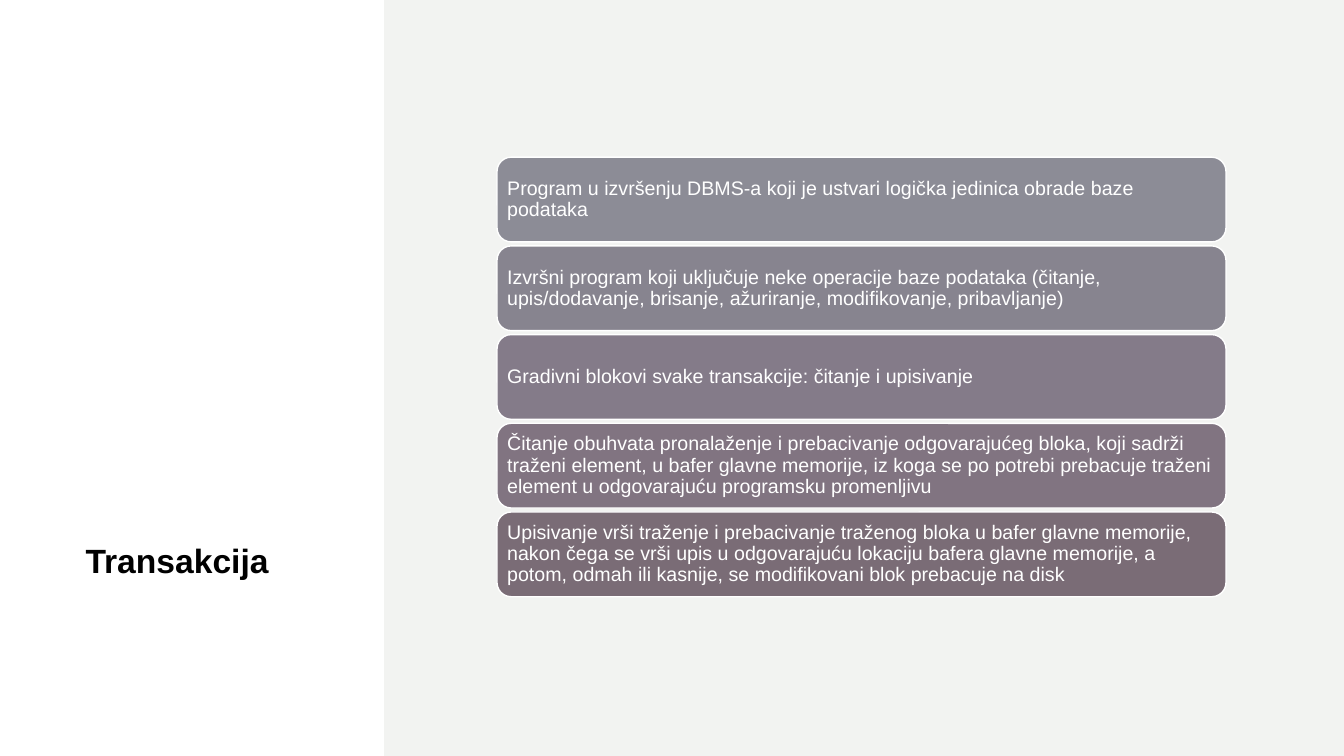
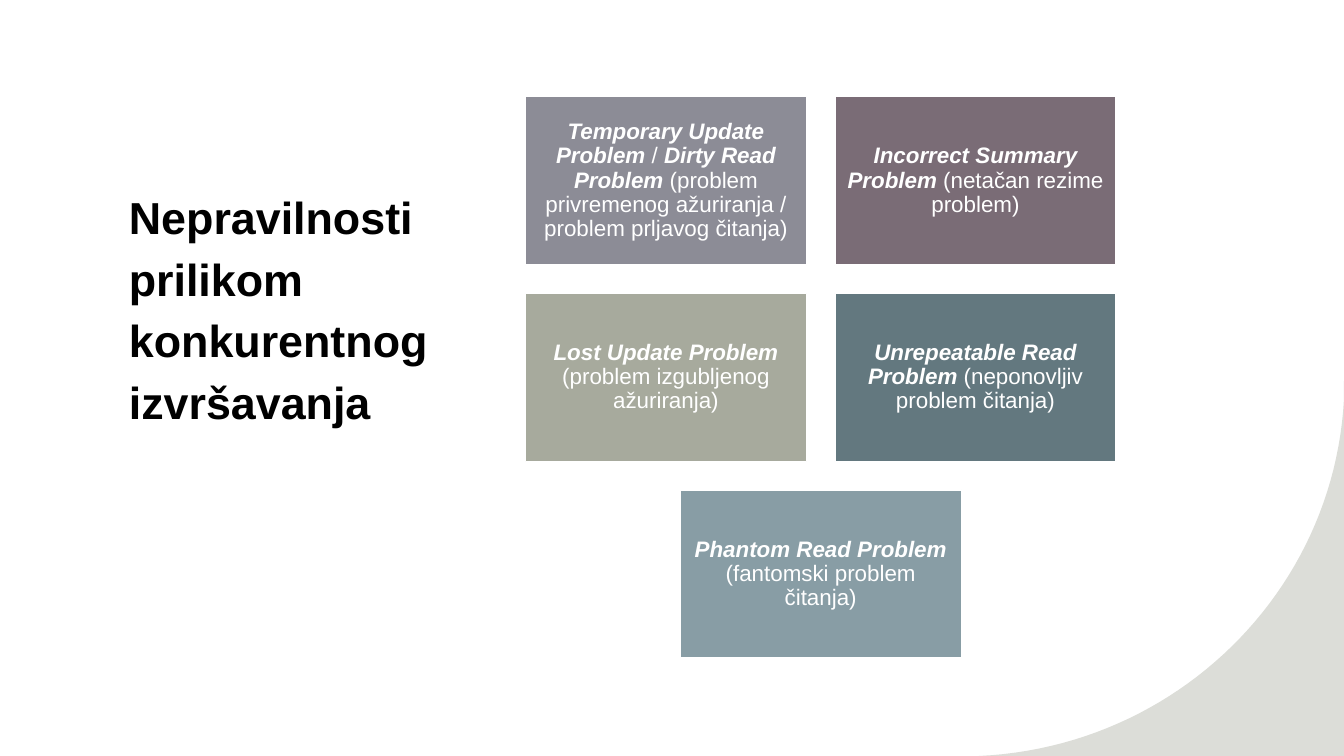
from pptx import Presentation
from pptx.dml.color import RGBColor
from pptx.enum.shapes import MSO_SHAPE as SHAPE
from pptx.enum.text import MSO_ANCHOR as ANCHOR, PP_ALIGN as ALIGN
from pptx.util import Inches, Pt

SLIDE_W, SLIDE_H = 13.33, 7.5
FONT = "Arial"
BLACK, WHITE = "000000", "FFFFFF"
PANEL, CORNER = "F2F3F1", "DCDDD8"
LAVENDER, PLUM, SAGE, TEAL, BLUE = "8C8C96", "7A6C76", "A7AA9D", "63787F", "889DA5"

STATEMENTS = [
    (LAVENDER, "Program u izvršenju DBMS-a koji je ustvari logička jedinica obrade "
               "baze podataka"),
    ("87848F", "Izvršni program koji uključuje neke operacije baze podataka (čitanje, "
               "upis/dodavanje, brisanje, ažuriranje, modifikovanje, pribavljanje)"),
    ("847B89", "Gradivni blokovi svake transakcije: čitanje i upisivanje"),
    ("817481", "Čitanje obuhvata pronalaženje i prebacivanje odgovarajućeg bloka, koji "
               "sadrži traženi element, u bafer glavne memorije, iz koga se po potrebi "
               "prebacuje traženi element u odgovarajuću programsku promenljivu"),
    (PLUM, "Upisivanje vrši traženje i prebacivanje traženog bloka u bafer glavne "
           "memorije, nakon čega se vrši upis u odgovarajuću lokaciju bafera glavne "
           "memorije, a potom, odmah ili kasnije, se modifikovani blok prebacuje na disk"),
]

# Rows of cards; the runs of a card alternate between emphasised and plain.
PROBLEM_ROWS = [
    [(LAVENDER, ["Temporary Update Problem", " / ", "Dirty Read Problem",
                 " (problem privremenog ažuriranja / problem prljavog čitanja)"]),
     (PLUM, ["Incorrect Summary Problem ", "(netačan rezime problem)"])],
    [(SAGE, ["Lost Update Problem ", "(problem izgubljenog ažuriranja)"]),
     (TEAL, ["Unrepeatable Read Problem ", "(neponovljiv problem čitanja)"])],
    [(BLUE, ["Phantom Read Problem ", "(fantomski problem čitanja)"])],
]


def rgb(color):
    return RGBColor.from_string(color)


def add_slide(prs):
    s = prs.slides.add_slide(prs.slide_layouts[6])
    s.background.fill.solid()
    s.background.fill.fore_color.rgb = rgb(WHITE)
    return s


def paint(sp, fill, line=None):
    sp.shadow.inherit = False
    sp.fill.solid()
    sp.fill.fore_color.rgb = rgb(fill)
    if line:
        sp.line.color.rgb = rgb(line)
        sp.line.width = Pt(1)
    else:
        sp.line.fill.background()


def add_block(s, kind, x, y, w, h, fill, line=None):
    sp = s.shapes.add_shape(kind, Inches(x), Inches(y), Inches(w), Inches(h))
    paint(sp, fill, line)
    return sp


def set_text(sp, runs, size, color, spacing, align=ALIGN.LEFT, anchor=ANCHOR.MIDDLE):
    """Write one paragraph from (text, bold, italic) runs."""
    tf = sp.text_frame
    tf.word_wrap = True
    tf.vertical_anchor = anchor
    p = tf.paragraphs[0]
    p.alignment = align
    p.line_spacing = spacing
    for text, bold, italic in runs:
        r = p.add_run()
        r.text = text
        r.font.name = FONT
        r.font.size = Pt(size)
        r.font.color.rgb = rgb(color)
        r.font.bold = bold
        r.font.italic = italic


def set_margins(sp, inset):
    tf = sp.text_frame
    tf.margin_left = tf.margin_right = tf.margin_top = tf.margin_bottom = Inches(inset)


def add_title(s, text, x, y, w, h, size, anchor):
    sp = s.shapes.add_textbox(Inches(x), Inches(y), Inches(w), Inches(h))
    set_text(sp, [(text, True, False)], size, BLACK, 1.15, anchor=anchor)


def bezier(a, b, c, d, steps=48):
    """Points on a cubic curve from a to d."""
    for i in range(steps + 1):
        t = i / steps
        u = 1 - t
        yield tuple(u**3 * p0 + 3 * u * u * t * p1 + 3 * u * t * t * p2 + t**3 * p3
                    for p0, p1, p2, p3 in zip(a, b, c, d))


def add_corner(s):
    """Fill the lower right corner outside a concave curve."""
    curve = bezier((9.71, SLIDE_H), (11.67, 7.41), (13.23, 5.87), (SLIDE_W, 3.96))
    points = [(SLIDE_W, SLIDE_H), (9.63, SLIDE_H), *curve]
    builder = s.shapes.build_freeform(Inches(SLIDE_W), Inches(3.78), scale=1.0)
    builder.add_line_segments([(Inches(x), Inches(y)) for x, y in points], close=True)
    paint(builder.convert_to_shape(), CORNER)


def add_statements(s):
    top, height, pitch = 1.56, 0.84, 0.88
    for i, (fill, text) in enumerate(STATEMENTS):
        sp = add_block(s, SHAPE.ROUNDED_RECTANGLE, 4.93, top + i * pitch, 7.23, height,
                       fill, WHITE)
        set_margins(sp, 0.06)
        set_text(sp, [(text, False, False)], 14, WHITE, 0.9)


def add_problem_cards(s):
    center, top, width, height, gap = 8.14, 0.96, 2.79, 1.67, 0.28
    for i, row in enumerate(PROBLEM_ROWS):
        left = center - (len(row) * (width + gap) - gap) / 2
        for j, (fill, texts) in enumerate(row):
            sp = add_block(s, SHAPE.RECTANGLE, left + j * (width + gap),
                           top + i * (height + gap), width, height, fill, WHITE)
            set_margins(sp, 0.07)
            runs = [(text, k % 2 == 0, k % 2 == 0) for k, text in enumerate(texts)]
            set_text(sp, runs, 16, WHITE, 0.9, ALIGN.CENTER)


def build_transaction(prs):
    s = add_slide(prs)
    add_title(s, "Transakcija", 0.75, 2.3, 2.54, 3.51, 24, ANCHOR.BOTTOM)
    add_block(s, SHAPE.RECTANGLE, 3.81, 0, SLIDE_W - 3.81, SLIDE_H, PANEL)
    add_statements(s)


def build_problems(prs):
    s = add_slide(prs)
    add_title(s, "Nepravilnosti prilikom konkurentnog izvršavanja",
              1.18, 1.75, 3.28, 3.89, 32, ANCHOR.TOP)
    add_corner(s)
    add_problem_cards(s)


def main():
    prs = Presentation()
    prs.slide_width, prs.slide_height = Inches(SLIDE_W), Inches(SLIDE_H)
    build_transaction(prs)
    build_problems(prs)
    prs.save("out.pptx")


if __name__ == "__main__":
    main()
